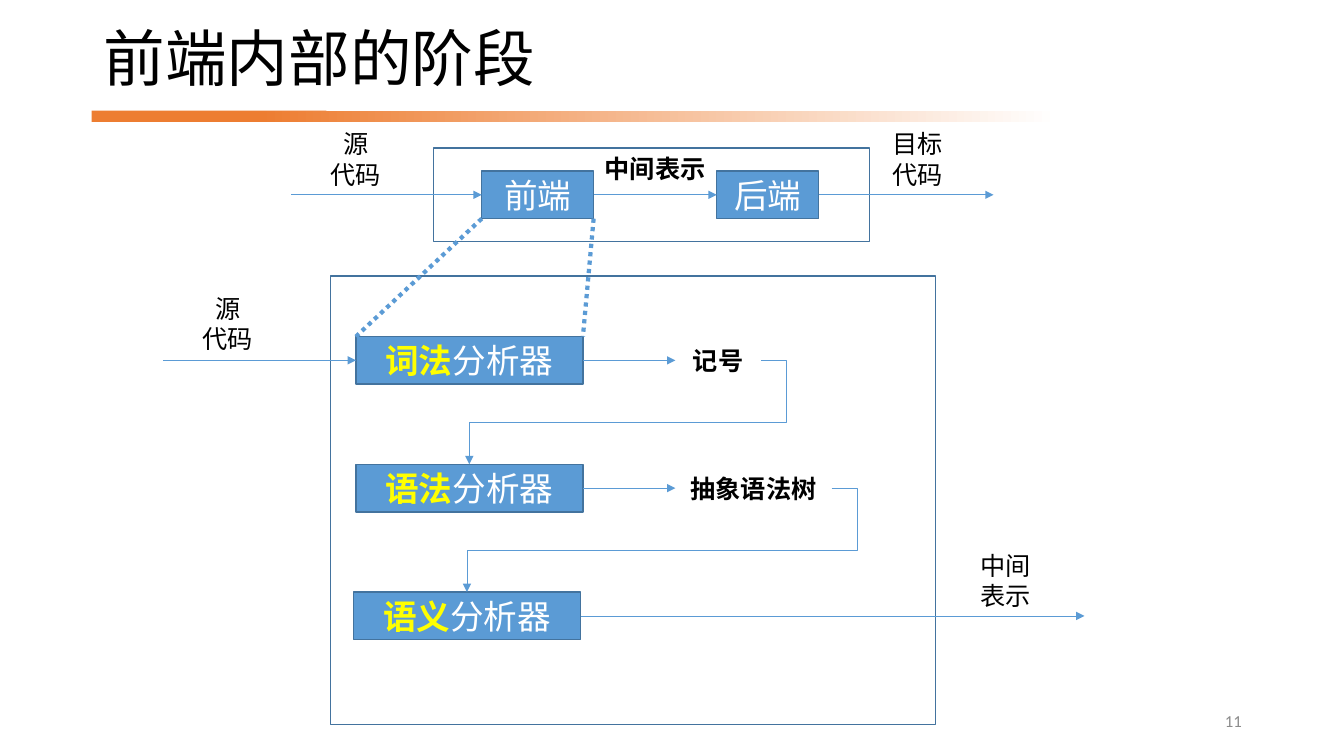
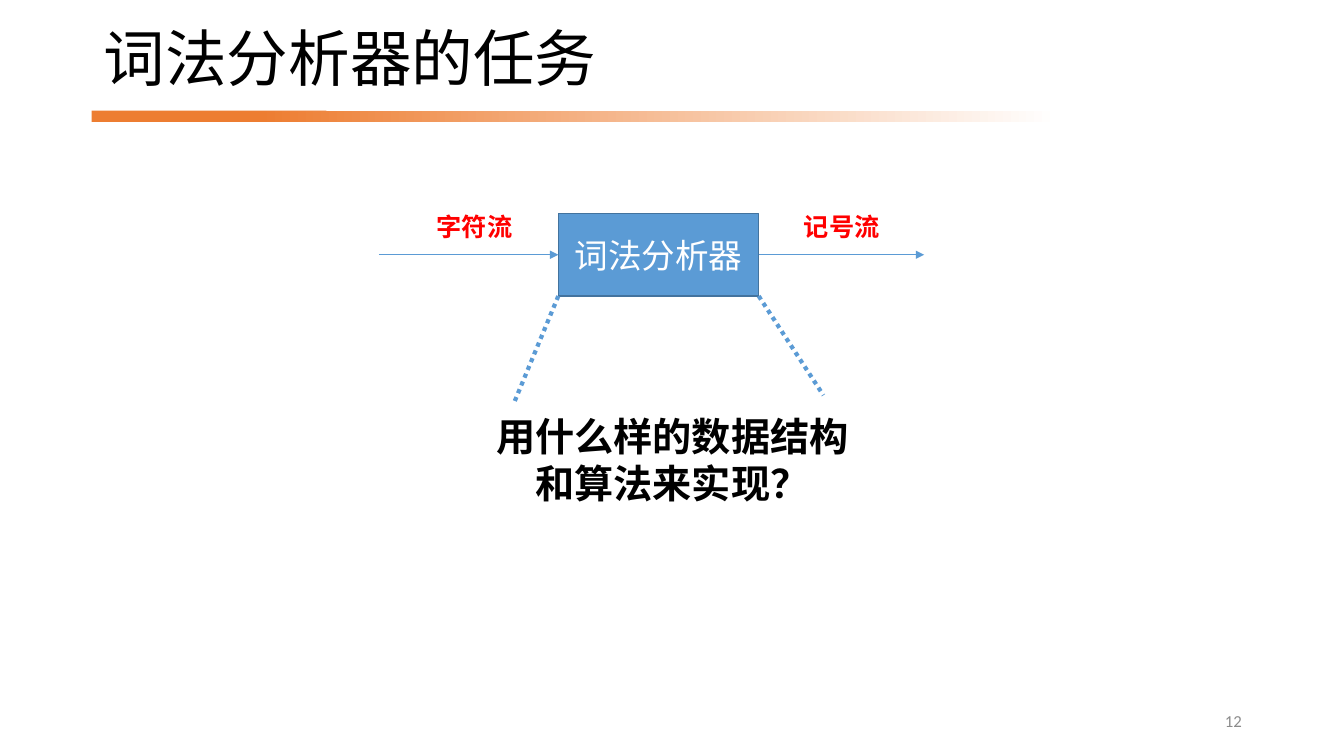
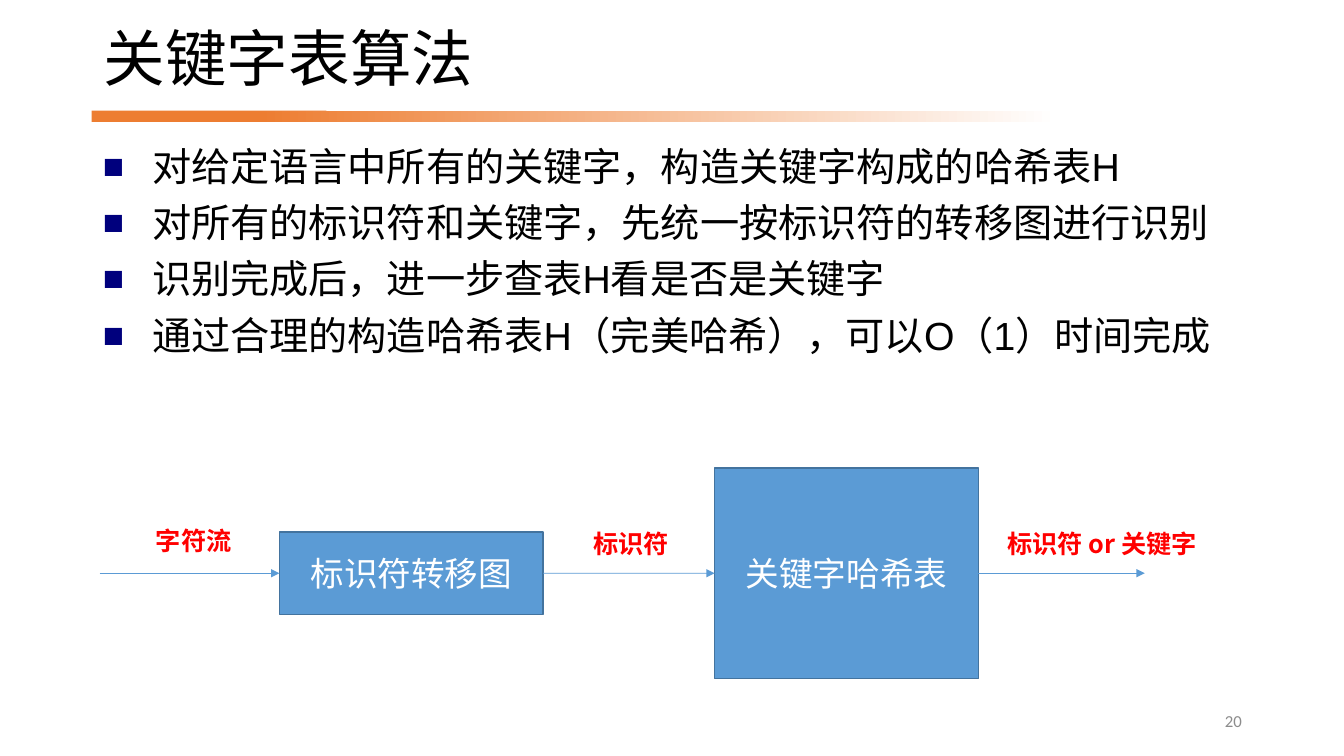
import pptx
import pptx.util
import pptx.dml.color
import pptx.enum.dml
import pptx.enum.shapes
import pptx.enum.text
import pptx.oxml
import pptx.oxml.ns
import lxml.etree

Cm = pptx.util.Cm
Pt = pptx.util.Pt
ALIGN = pptx.enum.text.PP_ALIGN
ANCHOR = pptx.enum.text.MSO_ANCHOR
RECTANGLE = pptx.enum.shapes.MSO_SHAPE.RECTANGLE
CONNECTOR = pptx.enum.shapes.MSO_CONNECTOR
qn = pptx.oxml.ns.qn

BLACK, WHITE, GREY = "000000", "FFFFFF", "8C8C8C"
BLUE, OUTLINE, ORANGE = "5B9BD5", "43739E", "ED7D31"
RED, YELLOW, NAVY = "FF0000", "FFFF00", "00007D"
CJK = "Noto Sans CJK SC"
TITLE_ONLY, TITLE_AND_BODY = 5, 1


def color(value):
    return pptx.dml.color.RGBColor.from_string(value)


def add_xml(parent, tag, **attributes):
    return lxml.etree.SubElement(parent, qn(tag), attributes)


# ---- Text ----

def format_run(run, size, ink=BLACK, bold=False, font=CJK):
    run.font.size = Pt(size)
    run.font.bold = bold
    run.font.name = font
    run.font.color.rgb = color(ink)
    add_xml(run.font._element, "a:ea", typeface=CJK)


def write(frame, text, size, align=ALIGN.LEFT, **style):
    frame.word_wrap = True
    frame.text = text
    for paragraph in frame.paragraphs:
        paragraph.alignment = align
        for run in paragraph.runs:
            format_run(run, size, **style)


def place(shape, left, top, width, height):
    shape.left, shape.top = Cm(left), Cm(top)
    shape.width, shape.height = Cm(width), Cm(height)


def label(slide, left, top, width, height, text, size=18, align=ALIGN.CENTER, **style):
    shape = slide.shapes.add_textbox(Cm(left), Cm(top), Cm(width), Cm(height))
    write(shape.text_frame, text, size, align, **style)
    return shape


def stream_label(slide, left, top, width, text):
    return label(slide, left, top, width, 1.02, text, ink=RED, bold=True)


# ---- Boxes ----

def rectangle(slide, left, top, width, height):
    shape = slide.shapes.add_shape(RECTANGLE, Cm(left), Cm(top), Cm(width), Cm(height))
    shape.shadow.inherit = False
    return shape


def block(slide, left, top, width, height, text="", lead="", fill=BLUE):
    """Outlined box; the lead words come first, in bold yellow."""
    shape = rectangle(slide, left, top, width, height)
    shape.fill.solid()
    shape.fill.fore_color.rgb = color(fill)
    shape.line.color.rgb = color(OUTLINE)
    shape.line.width = Pt(1)
    frame = shape.text_frame
    frame.vertical_anchor = ANCHOR.MIDDLE
    write(frame, lead, 24, ALIGN.CENTER, ink=YELLOW, bold=True)
    if text:
        run = frame.paragraphs[0].add_run()
        run.text = text
        format_run(run, 24, WHITE)
    return shape


def right(shape):
    return shape.left + shape.width


def bottom(shape):
    return shape.top + shape.height


def middle(shape):
    return shape.top + shape.height // 2


# ---- Lines ----

def connector(slide, kind, start, end, width=0.5, arrowhead=True):
    line = slide.shapes.add_connector(kind, *start, *end)
    line.line.color.rgb = color(BLUE)
    line.line.width = Pt(width)
    if arrowhead:
        add_xml(line.line._get_or_add_ln(), "a:tailEnd", type="triangle")
    add_xml(line._element.spPr, "a:effectLst")
    return line


def arrow(slide, start, end):
    """Level arrow; each end is a shape to join or a free x position in cm."""
    from_free, to_free = (isinstance(item, (int, float)) for item in (start, end))
    y = middle(end if from_free else start)
    from_x = Cm(start) if from_free else right(start)
    to_x = Cm(end) if to_free else end.left
    line = connector(slide, CONNECTOR.STRAIGHT, (from_x, y), (to_x, y))
    if not from_free:
        line.begin_connect(start, 3)
    if not to_free:
        line.end_connect(end, 1)


def return_arrow(slide, source, target):
    """Leaves the source to the right and comes back down on the target."""
    start = (right(source), middle(source))
    end = (target.left + target.width // 2, target.top)
    line = connector(slide, CONNECTOR.ELBOW, start, end)
    geometry = line._element.spPr.find(qn("a:prstGeom"))
    geometry.set("prst", "bentConnector4")
    guides = geometry.find(qn("a:avLst"))
    if guides is None:
        guides = add_xml(geometry, "a:avLst")
    overshoot = -Cm(0.64) / (start[0] - end[0])
    for name, ratio in (("adj1", overshoot), ("adj2", 0.6)):
        add_xml(guides, "a:gd", name=name, fmla=f"val {round(ratio * 100000)}")


def dotted(slide, start, end):
    line = connector(slide, CONNECTOR.STRAIGHT, start, end, width=3, arrowhead=False)
    line.line.dash_style = pptx.enum.dml.MSO_LINE.ROUND_DOT


# ---- Shared slide frame ----

def new_slide(presentation, title, number, layout=TITLE_ONLY):
    slide = presentation.slides.add_slide(presentation.slide_layouts[layout])
    # Orange band fading to white
    solid = rectangle(slide, 2.31, 2.79, 5.92, 0.28)
    solid.fill.solid()
    solid.fill.fore_color.rgb = color(ORANGE)
    fading = rectangle(slide, 6.53, 2.79, 20.12, 0.28)
    fading.fill.gradient()
    fading.fill.gradient_angle = 0
    for stop, position, ink in zip(fading.fill.gradient_stops, (0, 1), (ORANGE, WHITE)):
        stop.position = position
        stop.color.rgb = color(ink)
    for band in (solid, fading):
        band.line.fill.background()
    # Title
    heading = slide.shapes.title
    place(heading, 2.36, 0.43, 28.3, 2.26)
    write(heading.text_frame, title, 44, font="Arial")
    heading.text_frame.vertical_anchor = ANCHOR.MIDDLE
    heading.text_frame.paragraphs[0].line_spacing = 0.9
    # Page number
    page = label(slide, 23.93, 17.65, 7.62, 1.02, str(number), 12, ALIGN.RIGHT,
                 ink=GREY, font="Calibri")
    page.text_frame.vertical_anchor = ANCHOR.MIDDLE
    return slide


# ---- Regions ----

def compiler_pipeline(slide, left, top, width, height):
    """Front end and back end in a frame; returns the front end."""
    block(slide, left, top, width, height, fill=WHITE)
    box_top = top + (height - 1.2) / 2
    front = block(slide, left + 1.22, box_top, 2.82, 1.2, "前端")
    back = block(slide, left + 7.14, box_top, 2.57, 1.2, "后端")
    arrow(slide, left - 3.58, front)
    arrow(slide, front, back)
    arrow(slide, back, left + 14.12)
    label(slide, left - 3.25, top - 0.61, 2.59, 1.8, "源\n代码")
    label(slide, left + 11.33, top - 0.61, 1.98, 1.8, "目标代码", align=ALIGN.LEFT)
    label(slide, left + 4.07, top, 3.23, 1.02, "中间表示", align=ALIGN.LEFT, bold=True)
    return front


def front_end_stages(slide, left, top, width, height):
    """Three analyzers, each feeding the next; returns the first."""
    block(slide, left, top, width, height, fill=WHITE)
    stages = [
        block(slide, left + indent, top + 1.52 + 3.22 * row, 5.72, 1.2, "分析器", lead)
        for row, (lead, indent) in enumerate((("词法", 0.64), ("语法", 0.64), ("语义", 0.58)))
    ]
    for row, (text, label_width) in enumerate((("记号", 2.16), ("抽象语法树", 3.94))):
        result = label(slide, left + 8.69, top + 1.61 + 3.22 * row, label_width, 1.02,
                       text, bold=True)
        arrow(slide, stages[row], result)
        return_arrow(slide, result, stages[row + 1])
    arrow(slide, left - 4.22, stages[0])
    arrow(slide, stages[-1], left + 19)
    label(slide, left - 3.88, top + 0.3, 2.59, 1.8, "源\n代码")
    label(slide, left + 16.13, top + 6.78, 1.98, 1.8, "中间表示", align=ALIGN.LEFT)
    return stages[0]


def lexer_task(slide, left, top, width, height):
    """Lexer with its streams, and the question it raises below."""
    lexer = block(slide, left, top, width, height, "词法分析器")
    arrow(slide, left - 4.52, lexer)
    arrow(slide, lexer, left + 9.22)
    stream_label(slide, left - 3.33, top - 0.17, 2.44, "字符流")
    stream_label(slide, left + 5.92, top - 0.17, 2.44, "记号流")
    label(slide, left - 2.13, top + 4.88, 10.01, 2.64,
          "用什么样的数据结构和算法来实现？", 28, bold=True)
    dotted(slide, (lexer.left, bottom(lexer)), (Cm(left - 1.12), Cm(top + 4.78)))
    dotted(slide, (right(lexer), bottom(lexer)), (Cm(left + 6.68), Cm(top + 4.58)))


def bullet_list(body, left, top, width, height, items):
    place(body, left, top, width, height)
    write(body.text_frame, "\n".join(items), 28, font="Arial")
    body.text_frame.auto_size = pptx.enum.text.MSO_AUTO_SIZE.NONE
    for paragraph in body.text_frame.paragraphs:
        paragraph.line_spacing = 0.9
        paragraph.space_before = Pt(10)
        properties = paragraph._p.get_or_add_pPr()
        properties.set("marL", str(Cm(1.24)))
        properties.set("indent", str(-Cm(1.24)))
        add_xml(add_xml(properties, "a:buClr"), "a:srgbClr", val=NAVY)
        add_xml(properties, "a:buSzPct", val="90000")
        add_xml(properties, "a:buFont", typeface="Arial")
        add_xml(properties, "a:buChar", char="■")


def keyword_lookup(slide, left, top, width, height):
    """Transition diagram followed by the keyword hash table."""
    table = block(slide, left + 15.5, top, 6.65, height, "关键字哈希表")
    diagram = block(slide, left + 4.53, top + (height - 2.08) / 2, 6.65, 2.08, "标识符转移图")
    arrow(slide, left, diagram)
    arrow(slide, diagram, table)
    arrow(slide, table, left + width)
    stream_label(slide, left + 1.15, top + 1.32, 2.44, "字符流")
    stream_label(slide, left + 12.17, top + 1.39, 2.44, "标识符")
    stream_label(slide, left + 22.38, top + 1.39, 5.77, "标识符 or 关键字")


# ---- Slides ----

def front_end_slide(presentation):
    slide = new_slide(presentation, "前端内部的阶段", 11)
    front = compiler_pipeline(slide, 10.92, 3.73, 11, 2.36)
    first_stage = front_end_stages(slide, 8.33, 6.96, 15.24, 11.3)
    dotted(slide, (front.left, bottom(front)), (first_stage.left, first_stage.top))
    dotted(slide, (right(front), bottom(front)), (right(first_stage), first_stage.top))


def lexer_slide(presentation):
    slide = new_slide(presentation, "词法分析器的任务", 12)
    lexer_task(slide, 14.07, 5.38, 5.05, 2.08)


def keyword_slide(presentation):
    slide = new_slide(presentation, "关键字表算法", 20, TITLE_AND_BODY)
    bullet_list(slide.placeholders[1], 2.34, 3.58, 29.21, 13.64, (
        "对给定语言中所有的关键字，构造关键字构成的哈希表H",
        "对所有的标识符和关键字，先统一按标识符的转移图进行识别",
        "识别完成后，进一步查表H看是否是关键字",
        "通过合理的构造哈希表H（完美哈希），可以O（1）时间完成",
    ))
    keyword_lookup(slide, 2.51, 11.79, 26.34, 5.31)


def main():
    presentation = pptx.Presentation()
    presentation.slide_width, presentation.slide_height = Cm(33.87), Cm(19.05)
    front_end_slide(presentation)
    lexer_slide(presentation)
    keyword_slide(presentation)
    presentation.save("out.pptx")


if __name__ == "__main__":
    main()
